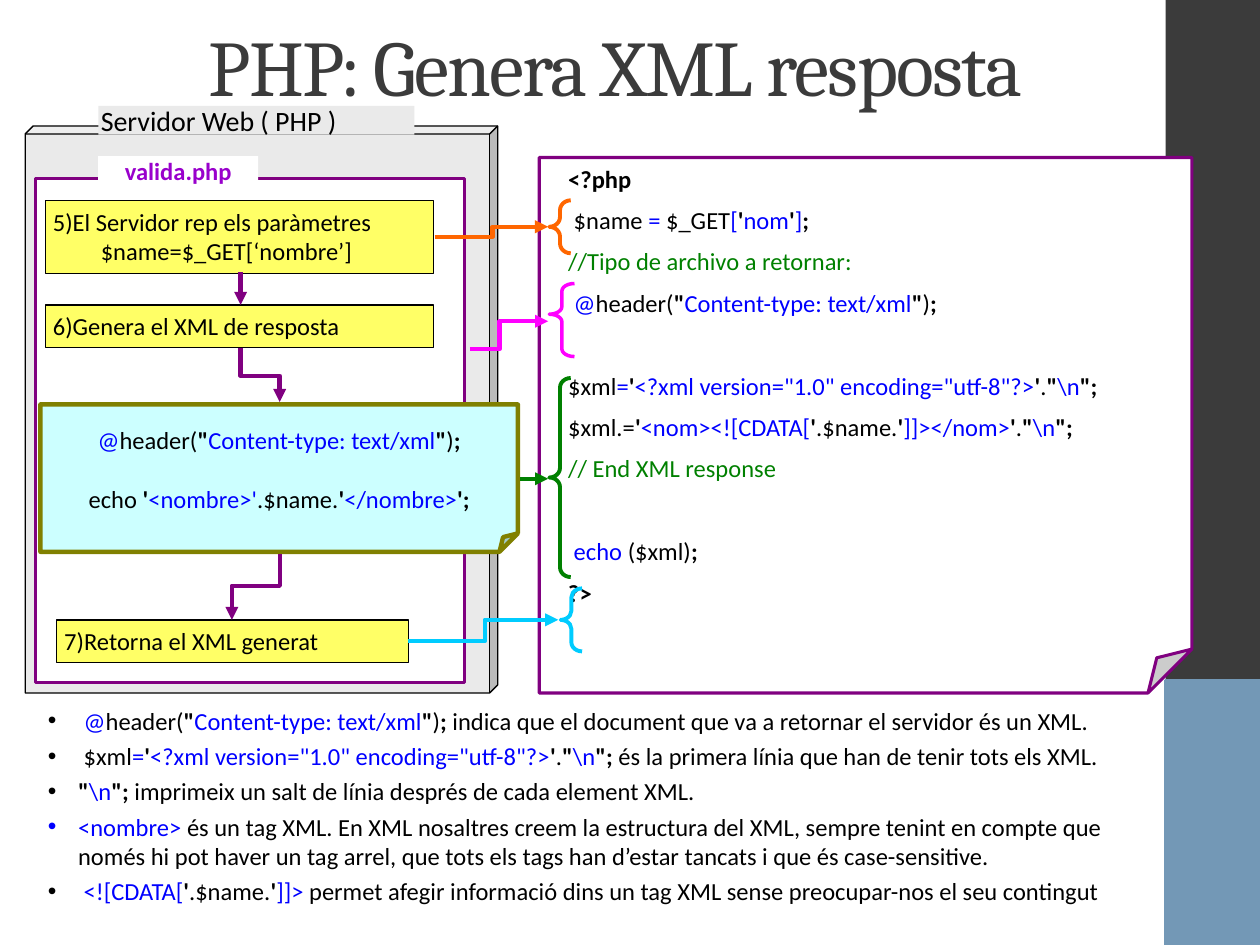
import dataclasses

import pptx
import pptx.dml.color
import pptx.enum.shapes
import pptx.enum.text
import pptx.oxml.ns
import pptx.util
from lxml import etree

RGB = pptx.dml.color.RGBColor
SHAPE = pptx.enum.shapes.MSO_SHAPE
CONNECTOR = pptx.enum.shapes.MSO_CONNECTOR
ALIGN = pptx.enum.text.PP_ALIGN
ANCHOR = pptx.enum.text.MSO_ANCHOR
Pt = pptx.util.Pt
qn = pptx.oxml.ns.qn

INK, WHITE = RGB(0, 0, 0), RGB(255, 255, 255)
CHARCOAL, STEEL = RGB(0x3B, 0x3B, 0x3B), RGB(0x73, 0x98, 0xB6)
GREY, YELLOW, AQUA = RGB(0xEA, 0xEA, 0xEA), RGB(0xFF, 0xFF, 0x66), RGB(0xCC, 0xFF, 0xFF)
PURPLE, VIOLET, OLIVE = RGB(0x80, 0, 0x80), RGB(0x99, 0, 0xCC), RGB(0x80, 0x80, 0)
BLUE, GREEN, ORANGE = RGB(0, 0, 255), RGB(0, 0x80, 0), RGB(255, 0x66, 0)
MAGENTA, CYAN = RGB(255, 0, 255), RGB(0, 0xCC, 255)

CELL = pptx.util.Inches(0.1)  # the slide is a grid of 100 columns by 75 rows


@dataclasses.dataclass
class Box:
    left: float
    top: float
    width: float
    height: float

    def inner(self, column, row, width, height):
        return Box(self.left + column, self.top + row, width, height)

    def emu(self):
        return [round(n * CELL) for n in (self.left, self.top, self.width, self.height)]


# A span is (text, colour, bold).
def plain(text):
    return text, INK, False


def bold(text):
    return text, INK, True


def blue(text):
    return text, BLUE, False


def green(text):
    return text, GREEN, False


QUOTE = bold("'")
HEADER = [blue("@"), plain("header("), bold('"'), blue("Content-type: text/xml"),
          bold('"'), plain(")"), bold(";")]
NEWLINE = [bold('"'), blue("\\n"), bold('";')]
DECLARATION = [plain("$xml"), blue("="), QUOTE,
               blue('<?xml version="1.0" encoding="utf-8"?>'), QUOTE, plain("."), *NEWLINE]
NAME_VALUE = [QUOTE, plain(".$name."), QUOTE]

SNIPPET = [(0, HEADER),
           (17, [plain("echo "), QUOTE, blue("<nombre>'"), plain(".$name."), QUOTE,
                 blue("</nombre>"), bold("';")])]

LINE_GAP, SECTION_GAP, BULLET_GAP = 6.8, 30.6, 3.4
CODE = [
    (0, [bold("<?php")]),
    (LINE_GAP, [plain(" $name "), blue("= "), plain("$_GET"), blue("["), QUOTE,
                blue("nom"), QUOTE, blue("]"), bold(";")]),
    (LINE_GAP, [green("//Tipo de archivo a retornar:")]),
    (LINE_GAP, [plain(" "), *HEADER]),
    (SECTION_GAP, DECLARATION),
    (LINE_GAP, [plain("$xml.="), QUOTE, blue("<nom><![CDATA["), *NAME_VALUE,
                blue("]]></nom>"), QUOTE, plain("."), *NEWLINE]),
    (LINE_GAP, [green("// End XML response")]),
    (SECTION_GAP, [blue(" echo "), plain("($xml)"), bold(";")]),
    (LINE_GAP, [bold("?>")]),
]
NOTES = [
    (0, [plain(" "), *HEADER,
         plain(" indica que el document que va a retornar el servidor és un XML.")]),
    (BULLET_GAP, [plain(" "), *DECLARATION,
                  plain(" és la primera línia que han de tenir tots els XML.")]),
    (BULLET_GAP, [*NEWLINE, plain(" imprimeix un salt de línia després de cada element XML.")]),
    (BULLET_GAP, [blue("<nombre> "), plain(
        "és un tag XML. En XML nosaltres creem la estructura del XML, sempre tenint en compte "
        "que només hi pot haver un tag arrel, que tots els tags han d’estar tancats i que és "
        "case-sensitive.")]),
    (BULLET_GAP, [plain(" "), blue("<![CDATA["), *NAME_VALUE, blue("]]> "), plain(
        "permet afegir informació dins un tag XML sense preocupar-nos el seu contingut")]),
]


def assign(target, values):
    for name, value in values.items():
        setattr(target, name, value)


def write(shape, paragraphs, size=14, align=ALIGN.LEFT, anchor=ANCHOR.TOP, wrap=True,
          inset=(0.6, 0.5), hanging=0, bullet=None):
    """Fill a shape with (space before, spans) paragraphs; \\n in a span breaks the line."""
    frame = shape.text_frame
    across, down = (round(n * CELL) for n in inset)
    assign(frame, {"word_wrap": wrap, "vertical_anchor": anchor, "margin_left": across,
                   "margin_right": across, "margin_top": down, "margin_bottom": down})
    for number, (gap, spans) in enumerate(paragraphs):
        para = frame.add_paragraph() if number else frame.paragraphs[0]
        assign(para, {"alignment": align, "space_before": Pt(gap)})
        if hanging:
            properties = para._p.get_or_add_pPr()
            properties.set("marL", str(round(hanging * CELL)))
            properties.set("indent", str(-round(hanging * CELL)))
            if bullet:
                etree.SubElement(properties, qn("a:buFont")).set("typeface", "Arial")
                etree.SubElement(properties, qn("a:buChar")).set("char", bullet)
        for text, color, heavy in spans:
            for row, piece in enumerate(text.split("\n")):
                if row:
                    para.add_line_break()
                span = para.add_run()
                span.text = piece
                assign(span.font, {"name": "Calibri", "size": Pt(size), "bold": heavy})
                span.font.color.rgb = color


def set_guides(shape, guides):
    """Set the preset geometry's adjust values, given as shares by guide name."""
    values = shape._element.spPr.find(qn("a:prstGeom")).find(qn("a:avLst"))
    values.clear()
    for name, share in guides.items():
        guide = etree.SubElement(values, qn("a:gd"))
        guide.set("name", name)
        guide.set("fmla", f"val {round(share * 100000)}")


def add_shape(page, kind, box, fill=None, line=None, weight=0.75, guides=None):
    shape = page.shapes.add_shape(kind, *box.emu())
    shape.shadow.inherit = False
    for paint, color in ((shape.fill, fill), (shape.line.fill, line)):
        if color is None:
            paint.background()
        else:
            paint.solid()
            paint.fore_color.rgb = color
    if line is not None:
        shape.line.width = Pt(weight)
    if guides:
        set_guides(shape, guides)
    return shape


def add_arrow(page, start, end, color, bend=None, downward=False):
    """Draw an arrow; bend is the share of the way at which an elbow turns."""
    (x1, y1), (x2, y2) = start, end
    if downward:  # an elbow leaving vertically is a horizontal one turned by 90 degrees
        x, y, dx, dy = (x1 + x2) / 2, (y1 + y2) / 2, x2 - x1, y2 - y1
        x1, y1, x2, y2 = x - dy / 2, y + dx / 2, x + dy / 2, y - dx / 2
    kind = CONNECTOR.STRAIGHT if bend is None else CONNECTOR.ELBOW
    arrow = page.shapes.add_connector(kind, *(round(n * CELL) for n in (x1, y1, x2, y2)))
    arrow.line.color.rgb = color
    arrow.line.width = Pt(2.5)
    properties = arrow._element.spPr
    if downward:
        properties.find(qn("a:xfrm")).set("rot", "5400000")
    if bend is not None:
        set_guides(arrow, {"adj1": bend})
    etree.SubElement(properties.find(qn("a:ln")), qn("a:tailEnd")).set("type", "triangle")
    etree.SubElement(properties, qn("a:effectLst"))


def add_side_band(page, box):
    add_shape(page, SHAPE.RECTANGLE, box, CHARCOAL)
    add_shape(page, SHAPE.RECTANGLE, box.inner(0, 54, box.width, 21), STEEL, STEEL, 2)


def add_title(page, box):
    title = page.shapes.title
    assign(title, dict(zip(("left", "top", "width", "height"), box.emu())))
    write(title, [(0, [("PHP: Genera XML resposta", CHARCOAL, False)])], 45, ALIGN.CENTER,
          ANCHOR.MIDDLE, inset=(1.1, 0.6))
    span = title.text_frame.paragraphs[0].runs[0]
    span.font.name = "Cambria"
    span._r.get_or_add_rPr().set("spc", "-100")


def add_server(page, box):
    add_shape(page, SHAPE.CUBE, box, GREY, INK, guides={"adj": 0.017})
    label = add_shape(page, SHAPE.RECTANGLE, box.inner(5.8, -1.6, 25.1, 2.3), GREY)
    write(label, [(0, [plain("Servidor Web ( PHP )")])], 16, anchor=ANCHOR.MIDDLE,
          wrap=False, inset=(0.2, 0.1))
    add_shape(page, SHAPE.RECTANGLE, box.inner(0.8, 4.2, 34.1, 40), WHITE, PURPLE, 1.75)
    tag = add_shape(page, SHAPE.RECTANGLE, box.inner(5.8, 2.4, 12.7, 2.3), WHITE)
    write(tag, [(0, [("valida.php", VIOLET, True)])], align=ALIGN.CENTER, inset=(0.2, 0))
    for text, *place in (
            ("5)El Servidor rep els paràmetres\n$name=$_GET[‘nombre’]", 1.6, 5.9, 30.8, 5.8),
            ("6)Genera el XML de resposta", 1.6, 14.2, 30.8, 3.4),
            ("7)Retorna el XML generat", 2.5, 39.2, 27.9, 3.4)):
        step = add_shape(page, SHAPE.RECTANGLE, box.inner(*place), YELLOW, INK)
        write(step, [(0, [plain(text)])], hanging=3.8)
    snippet = add_shape(page, SHAPE.FOLDED_CORNER, box.inner(1.2, 22.1, 37.9, 11.7),
                        AQUA, OLIVE, 2.5, {"adj": 0.125})
    write(snippet, SNIPPET, align=ALIGN.CENTER, anchor=ANCHOR.MIDDLE, wrap=False)
    for x1, y1, x2, y2, bend in ((17.1, 11.6, 17.1, 14.2, None),
                                 (17.1, 17.6, 20.2, 21.9, 0.52),
                                 (20.2, 34, 16.4, 39.2, 0.48)):
        add_arrow(page, (box.left + x1, box.top + y1), (box.left + x2, box.top + y2),
                  PURPLE, bend, downward=bend is not None)


def add_code(page, box):
    add_shape(page, SHAPE.FOLDED_CORNER, box, WHITE, PURPLE, 1.75, {"adj": 0.082})
    write(page.shapes.add_textbox(*box.inner(1.7, 0, 55, 38.7).emu()), CODE)


def add_callouts(page, box):
    """Brace groups of code lines and point at them; places are relative to the code box."""
    for color, weight, place, curl, tip, start, end, bend in (
            (ORANGE, 2.25, (0.8, 3.4, 1.7, 4.2), 0.46, 0.5, (-8.3, 6.3), (0.7, 5.5), 0.51),
            (GREEN, 2.25, (0.8, 17.5, 1.7, 15.8), 0.45, 0.5, (-1.5, 25.5), (0.7, 25.5), None),
            (MAGENTA, 2, (0.8, 10, 2, 5.8), 0.3, 0.42, (-5.5, 15.2), (0.7, 13), 0.38),
            (CYAN, 2.25, (1.7, 34.2, 1.7, 5), 0.42, 0.5, (-10.4, 38.4), (1.5, 36.7), 0.51)):
        add_shape(page, SHAPE.LEFT_BRACE, box.inner(*place), None, color, weight,
                  {"adj1": curl, "adj2": tip})
        add_arrow(page, *((box.left + x, box.top + y) for x, y in (start, end)), color, bend)


def add_notes(page, box):
    write(page.shapes.add_textbox(*box.emu()), NOTES, inset=(0.2, 0.1), hanging=2.4, bullet="•")


def main():
    deck = pptx.Presentation()
    assign(deck, {"slide_width": 100 * CELL, "slide_height": 75 * CELL})
    page = deck.slides.add_slide(deck.slide_layouts[5])
    code_box = Box(42.8, 12.5, 51.8, 42.5)
    add_side_band(page, Box(92.5, 0, 7.5, 75))
    add_title(page, Box(5.1, 0.7, 87.5, 8.9))
    add_server(page, Box(2, 10, 37.5, 45))
    add_code(page, code_box)
    add_callouts(page, code_box)
    add_notes(page, Box(3.6, 55.9, 88.1, 16.7))
    deck.save("out.pptx")


if __name__ == "__main__":
    main()
